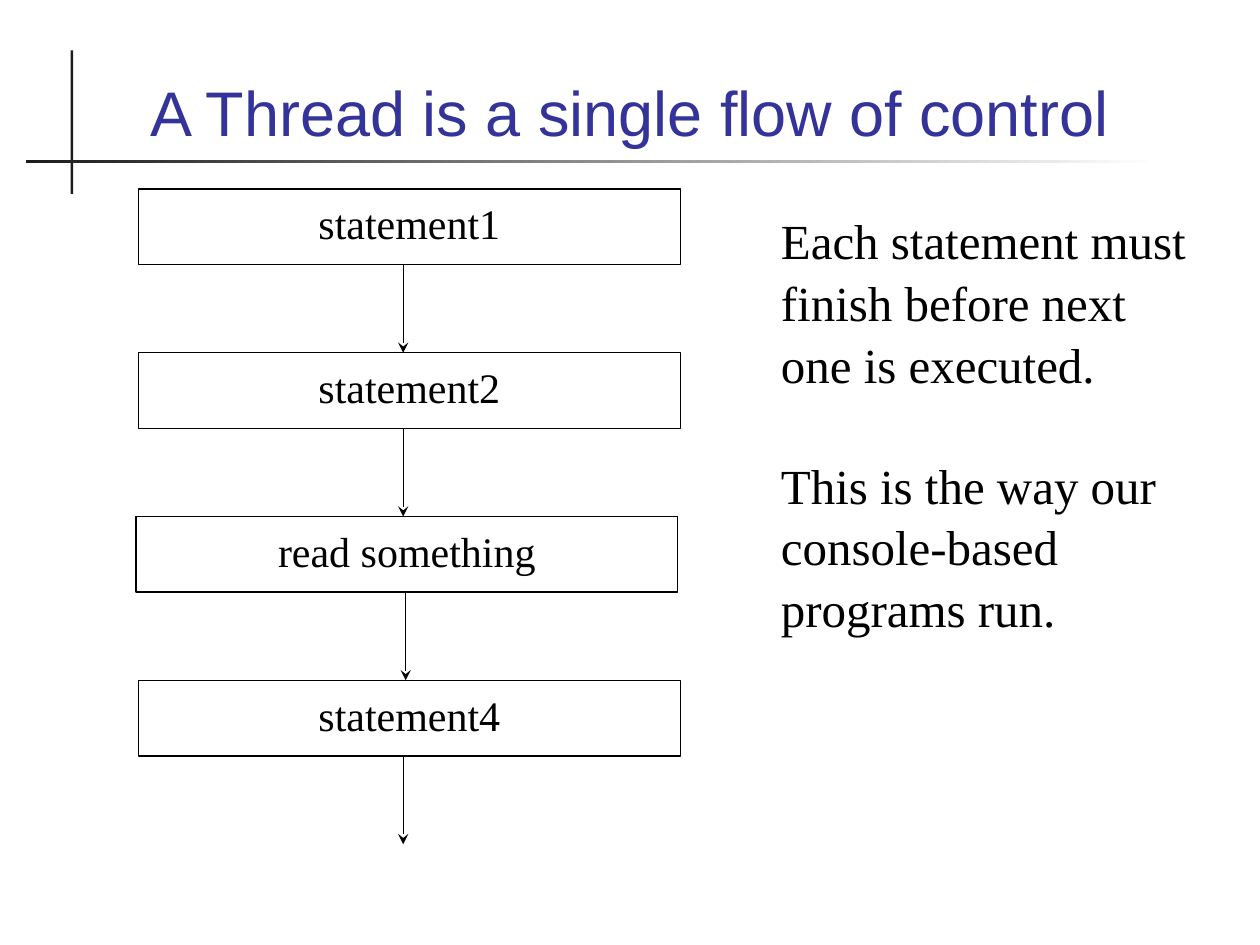
from typing import NamedTuple

from lxml.etree import SubElement
from pptx import Presentation
from pptx.dml.color import RGBColor
from pptx.enum.shapes import MSO_CONNECTOR, MSO_SHAPE
from pptx.enum.text import MSO_ANCHOR, PP_ALIGN
from pptx.oxml.ns import qn
from pptx.util import Pt

BLACK = RGBColor(0x00, 0x00, 0x00)
WHITE = RGBColor(0xFF, 0xFF, 0xFF)
DARK = RGBColor(0x1C, 0x1C, 0x1C)
BLUE = RGBColor(0x33, 0x33, 0x99)
SERIF = "Times New Roman"
SPACING = 1.05


class Step(NamedTuple):
    text: str
    left: float
    flow: float  # x of the arrow that leaves the box


STEPS = [
    Step("statement1", 79.2, 230.4),
    Step("statement2", 79.2, 230.4),
    Step("read something", 77.76, 231.84),
    Step("statement4", 79.2, 230.4),
]
TOP, PITCH, WIDTH, HEIGHT = 108, 93.6, 309.6, 43.2


def add_rect(slide, left: float, top: float, width: float, height: float):
    rect = slide.shapes.add_shape(
        MSO_SHAPE.RECTANGLE, Pt(left), Pt(top), Pt(width), Pt(height))
    rect.shadow.inherit = False
    return rect


def style(para, size: float, color: RGBColor, name: str, align: PP_ALIGN) -> None:
    para.alignment = align
    para.font.size = Pt(size)
    para.font.name = name
    para.font.color.rgb = color


def add_rules(slide) -> None:
    upright = add_rect(slide, 40.32, 28.8, 1.44, 82.08)
    upright.fill.solid()
    upright.fill.fore_color.rgb = DARK
    upright.line.fill.background()

    level = add_rect(slide, 15.12, 91.44, 646.56, 1.44)
    level.fill.gradient()
    level.fill.gradient_angle = 180
    for stop, color in zip(level.fill.gradient_stops, (WHITE, DARK)):
        stop.color.rgb = color
    level.line.fill.background()


def add_title(slide, text: str) -> None:
    frame = slide.shapes.add_textbox(
        Pt(48.24), Pt(20.16), Pt(623.52), Pt(68.4)).text_frame
    frame.word_wrap = True
    frame.vertical_anchor = MSO_ANCHOR.BOTTOM
    frame.text = text
    style(frame.paragraphs[0], 36, BLUE, "Arial", PP_ALIGN.CENTER)


def add_step(slide, step: Step, top: float) -> None:
    box = add_rect(slide, step.left, top, WIDTH, HEIGHT)
    box.fill.background()
    box.line.color.rgb = BLACK
    box.line.width = Pt(0.75)
    frame = box.text_frame
    frame.vertical_anchor = MSO_ANCHOR.TOP
    frame.text = step.text
    para = frame.paragraphs[0]
    para.line_spacing = SPACING
    style(para, 24, BLACK, SERIF, PP_ALIGN.CENTER)


def add_arrow(slide, left: float, start: float, end: float) -> None:
    arrow = slide.shapes.add_connector(
        MSO_CONNECTOR.STRAIGHT, Pt(left), Pt(start), Pt(left), Pt(end))
    arrow.line.color.rgb = BLACK
    arrow.line.width = Pt(0.75)
    SubElement(arrow.line._get_or_add_ln(), qn("a:tailEnd"), type="stealth")
    SubElement(arrow._element.spPr, qn("a:effectLst"))


def add_notes(slide, texts: list[str]) -> None:
    frame = slide.shapes.add_textbox(
        Pt(439.2), Pt(115.2), Pt(252), Pt(381.6)).text_frame
    frame.word_wrap = True
    frame.text = "\n".join(texts)
    for i, para in enumerate(frame.paragraphs):
        para.line_spacing = SPACING
        if i:
            para.space_before = Pt(33.8)
        style(para, 28, BLACK, SERIF, PP_ALIGN.LEFT)


def main() -> None:
    deck = Presentation()
    deck.slide_width, deck.slide_height = Pt(720), Pt(540)
    slide = deck.slides.add_slide(deck.slide_layouts[6])

    # Title and its crossed rules
    add_rules(slide)
    add_title(slide, "A Thread is a single flow of control")

    # Flow of statements
    for i, step in enumerate(STEPS):
        top = TOP + i * PITCH
        add_step(slide, step, top)
        add_arrow(slide, step.flow, top + HEIGHT, top + PITCH)

    # Explanation
    add_notes(slide, [
        "Each statement must finish before next one is executed.",
        "This is the way our console-based programs run.",
    ])
    deck.save("out.pptx")


if __name__ == "__main__":
    main()
